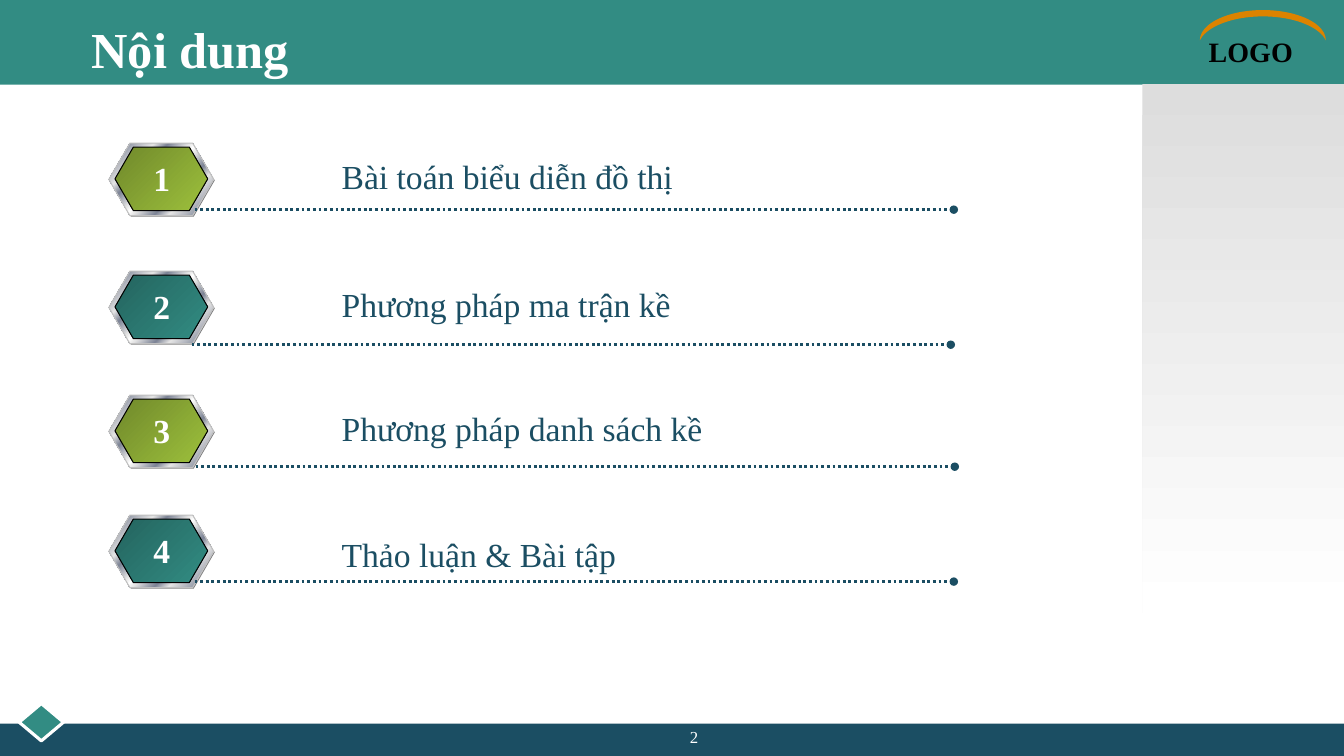
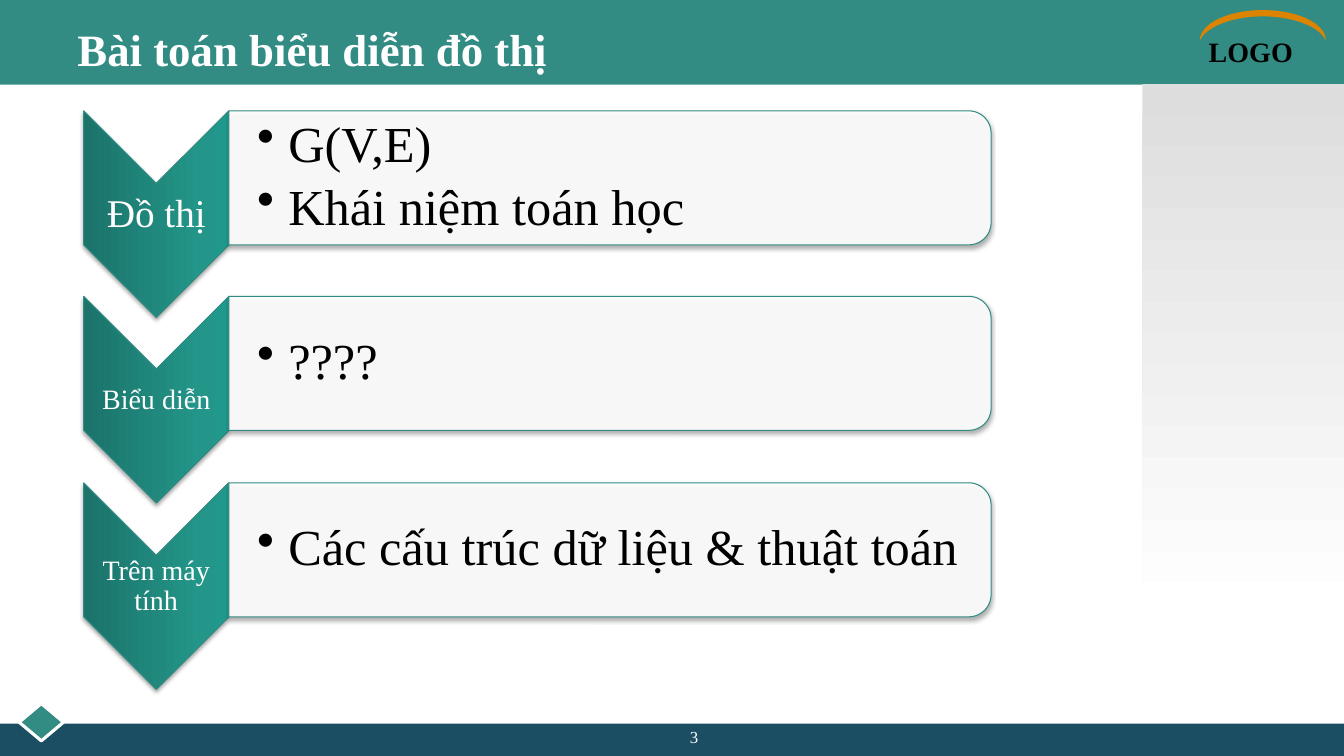
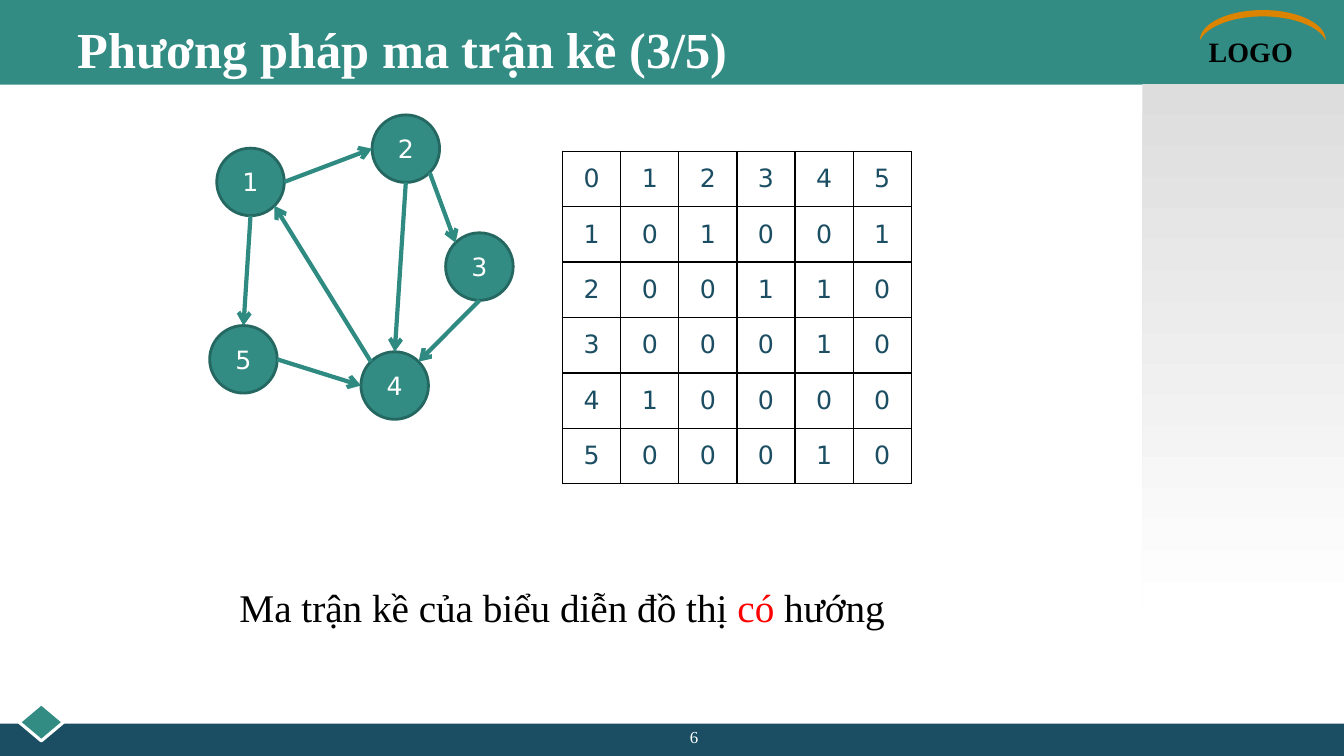
import math

import pptx
import pptx.dml.color
import pptx.enum.dml
import pptx.enum.shapes
import pptx.enum.text
import pptx.oxml
import pptx.oxml.ns
import pptx.util

EMU_PER_PX = 9144
WIDTH, HEIGHT = 1333, 750
SERIF, SANS = "Times New Roman", "DejaVu Sans"

COLORS = {
    "teal": "328C83", "navy": "1B4E63", "white": "FFFFFF", "black": "000000",
    "orange": "DC8300", "red": "FF0000", "gray": "808080", "silver": "C0C0C0",
    "edge": "2F8B82", "ring": "256861",
}
GRADIENTS = {
    "panel": [(0, "DDDDDD"), (100, "FFFFFF")],
    "green": [(0, "70892B"), (100, "9DC03C")],
    "teal": [(0, "24645E"), (100, "328C83")],
    "arrow": [(0, "1B736A"), (80, "239589"), (100, "21988C")],
    "metal": [(0, "E6E6E6"), (7, "7D8496"), (26, "E6E6E6"), (34, "7D8496"),
              (46, "E6E6E6"), (50, "FFFFFF"), (54, "E6E6E6"), (66, "7D8496"),
              (74, "E6E6E6"), (93, "7D8496"), (100, "E6E6E6")],
}
SHAPE = pptx.enum.shapes.MSO_SHAPE
ALIGN = pptx.enum.text.PP_ALIGN
MIDDLE = pptx.enum.text.MSO_ANCHOR.MIDDLE


def px(*values):
    return [round(v * EMU_PER_PX) for v in values]


def rgb(name):
    return pptx.dml.color.RGBColor.from_string(COLORS[name])


def apply(obj, values):
    for name, value in values.items():
        setattr(obj, name, value)


def add_xml(parent, xml):
    ns = pptx.oxml.ns.nsdecls("a")
    tag, rest = xml[:xml.index(" ")], xml[xml.index(" "):]
    parent.append(pptx.oxml.parse_xml(f"{tag} {ns}{rest}"))


def gradient(sp, name, angle):
    sp.fill.gradient()
    sp.fill.gradient_angle = angle
    stops = sp._element.spPr.find(".//" + pptx.oxml.ns.qn("a:gsLst"))
    for stop in list(stops):
        stops.remove(stop)
    for pos, color in GRADIENTS[name]:
        add_xml(stops, f'<a:gs pos="{pos * 1000}"><a:srgbClr val="{color}"/></a:gs>')


def shape(slide, kind, box, fill=None, line=None, weight=0.75, turned=False):
    x, y, w, h = box
    if turned:
        x, y, w, h = x + (w - h) / 2, y + (h - w) / 2, h, w
    sp = slide.shapes.add_shape(kind, *px(x, y, w, h))
    sp.shadow.inherit = False
    sp.rotation = 90 if turned else 0
    if fill:
        sp.fill.solid()
        sp.fill.fore_color.rgb = rgb(fill)
    if line:
        sp.line.color.rgb = rgb(line)
        sp.line.width = pptx.util.Pt(weight)
    else:
        sp.line.fill.background()
    return sp


def add_shadow(sp):
    effects = sp._element.spPr.find(pptx.oxml.ns.qn("a:effectLst"))
    add_xml(effects, '<a:outerShdw blurRad="39370" dist="22860" dir="5400000" '
            'rotWithShape="0"><a:srgbClr val="000000"><a:alpha val="35000"/>'
            '</a:srgbClr></a:outerShdw>')


def run(p, text, size, color, font=SERIF, bold=False):
    r = p.add_run()
    r.text = text
    apply(r.font, {"name": font, "size": pptx.util.Pt(size), "bold": bold})
    r.font.color.rgb = rgb(color)


def textbox(slide, box, text, size, color, bold=False, align=ALIGN.LEFT, **frame):
    tf = slide.shapes.add_textbox(*px(*box)).text_frame
    apply(tf, {"word_wrap": True, **frame})
    p = tf.paragraphs[0]
    p.alignment = align
    if text:
        run(p, text, size, color, bold=bold)
    return tf


def connector(slide, start, end, color, weight, tail):
    cx = slide.shapes.add_connector(
        pptx.enum.shapes.MSO_CONNECTOR.STRAIGHT, *px(*start, *end))
    cx.line.color.rgb = rgb(color)
    cx.line.width = pptx.util.Pt(weight)
    if tail == "oval":
        cx.line.dash_style = pptx.enum.dml.MSO_LINE.ROUND_DOT
    add_xml(cx.line._get_or_add_ln(), f'<a:tailEnd type="{tail}"/>')
    add_xml(cx._element.spPr, "<a:effectLst />")


def base_slide(prs, title, number, size=36, left=67):
    slide = prs.slides.add_slide(prs.slide_layouts[6])
    shape(slide, SHAPE.RECTANGLE, (0, 0, WIDTH, 84), "teal")
    shape(slide, SHAPE.RECTANGLE, (0, 718, WIDTH, 32), "navy")
    shape(slide, SHAPE.DIAMOND, (19, 698, 44, 37), "teal", "white", 2.25)
    textbox(slide, (1189, 29, 144, 43), "LOGO", 20, "black", bold=True)
    arc = shape(slide, SHAPE.MOON, (1190, 10, 125, 30), "orange", turned=True)
    arc.adjustments[0] = 0.21
    gradient(shape(slide, SHAPE.RECTANGLE, (1133, 83, 200, 525)), "panel", 270)
    textbox(slide, (left, 17, 1036, 62), title, size, "white", bold=True,
            vertical_anchor=MIDDLE)
    textbox(slide, (533, 716, 311, 26), str(number), 12, "white", align=ALIGN.CENTER)
    return slide


def agenda_item(slide, x, y, number, text, text_dy, line_dx, line_dy):
    hexagons = [
        ((x + 1, y + 1, 104, 72), "gray", None, None),
        ((x, y, 104, 72), None, "silver", "metal"),
        ((x + 6, y + 4, 92, 63), None, "black", "green" if number % 2 else "teal"),
    ]
    for box, fill, line, grad in hexagons:
        sp = shape(slide, SHAPE.HEXAGON, box, fill, line)
        sp.adjustments[0] = 0.29
        if grad:
            gradient(sp, grad, 315)
    start = x + line_dx
    connector(slide, (start, y + line_dy), (start + 753, y + line_dy), "navy", 2, "oval")
    textbox(slide, (x + 221, y + text_dy, 482, 50), text, 24, "navy")
    textbox(slide, (x + 29, y + 10, 47, 50), str(number), 24, "white", bold=True,
            align=ALIGN.CENTER)


def agenda_slide(prs):
    slide = base_slide(prs, "Nội dung", 2, left=81)
    items = [
        (142, "Bài toán biểu diễn đồ thị", 8, 85, 66),
        (269, "Phương pháp ma trận kề", 8, 82, 73),
        (392, "Phương pháp danh sách kề", 8, 86, 71),
        (511, "Thảo luận & Bài tập", 14, 85, 66),
    ]
    for number, (y, *item) in enumerate(items, 1):
        agenda_item(slide, 108, y, number, *item)


def chevron_row(slide, x, y, label, size, lines):
    sp = shape(slide, SHAPE.CHEVRON, (x, y, 144, 205), None, "teal", turned=True)
    gradient(sp, "arrow", 90)
    add_shadow(sp)
    inset = dict.fromkeys(
        ("margin_left", "margin_right", "margin_top", "margin_bottom"), px(2)[0])
    tf = textbox(slide, (x, y + 72, 144, 62), label, size, "white",
                 align=ALIGN.CENTER, vertical_anchor=MIDDLE, **inset)
    tf.paragraphs[0].line_spacing = 0.9

    panel = shape(slide, SHAPE.ROUND_2_SAME_RECTANGLE, (x + 144, y, 756, 133),
                  "white", "teal", turned=True)
    color = panel._element.spPr.find(pptx.oxml.ns.qn("a:solidFill"))[0]
    add_xml(color, '<a:alpha val="90000"/>')
    add_shadow(panel)
    inset["margin_left"] = px(28)[0]
    tf = textbox(slide, (x + 144, y + 6, 750, 120), "", 36, "black",
                 vertical_anchor=MIDDLE, **inset)
    for i, line in enumerate(lines):
        p = tf.add_paragraph() if i else tf.paragraphs[0]
        apply(p, {"line_spacing": 0.9, "space_after": pptx.util.Pt(6)})
        pPr = p._p.get_or_add_pPr()
        indent = px(31)[0]
        pPr.set("marL", str(indent))
        pPr.set("indent", str(-indent))
        add_xml(pPr, '<a:buChar char="•"/>')
        run(p, line, 36, "black")


def problem_slide(prs):
    slide = base_slide(prs, "Bài toán biểu diễn đồ thị", 3, size=32)
    rows = [
        ("Đồ thị", 28, ["G(V,E)", "Khái niệm toán học"]),
        ("Biểu diễn", 20, ["????"]),
        ("Trên máy tính", 20, ["Các cấu trúc dữ liệu & thuật toán"]),
    ]
    for i, row in enumerate(rows):
        chevron_row(slide, 83, 110 + i * 369 // 2, *row)


def graph(slide, x, y):
    size = 67
    nodes = {1: (7, 33), 2: (161, 0), 3: (234, 117), 4: (150, 235), 5: (0, 209)}
    edges = [(1, 0, 2, 180), (1, 90, 5, 270), (4, 225, 1, 45), (2, 90, 4, 270),
             (2, 45, 3, 225), (3, 90, 4, 315), (5, 0, 4, 180)]

    def rim(node, degrees):
        dx, dy = nodes[node]
        angle, radius = math.radians(degrees), size / 2
        return (x + dx + radius * (1 + math.cos(angle)),
                y + dy + radius * (1 + math.sin(angle)))

    for number, (dx, dy) in nodes.items():
        sp = shape(slide, SHAPE.OVAL, (x + dx, y + dy, size, size), "teal", "ring", 2)
        sp.text_frame.vertical_anchor = MIDDLE
        p = sp.text_frame.paragraphs[0]
        p.alignment = ALIGN.CENTER
        run(p, str(number), 18, "white", SANS)
    for a, leave, b, arrive in edges:
        connector(slide, rim(a, leave), rim(b, arrive), "edge", 3, "arrow")


def matrix(slide, box, rows):
    table = slide.shapes.add_table(len(rows), len(rows[0]), *px(*box)).table
    apply(table, {"first_row": False, "horz_banding": False})
    for i, values in enumerate(rows):
        for j, value in enumerate(values):
            cell = table.cell(i, j)
            cell.vertical_anchor = MIDDLE
            p = cell.text_frame.paragraphs[0]
            p.alignment = ALIGN.CENTER
            run(p, value, 18, "navy", SANS)
            tcPr = cell._tc.get_or_add_tcPr()
            for side in ("lnL", "lnR", "lnT", "lnB"):
                add_xml(tcPr, f'<a:{side} w="12700"><a:solidFill><a:srgbClr '
                        f'val="{COLORS["black"]}"/></a:solidFill></a:{side}>')
            cell.fill.background()


def matrix_slide(prs):
    slide = base_slide(prs, "Phương pháp ma trận kề (3/5)", 6)
    tf = textbox(slide, (215, 574, 685, 57), "Ma trận kề của biểu diễn đồ thị ",
                 28, "black", align=ALIGN.CENTER)
    run(tf.paragraphs[0], "có", 28, "red")
    run(tf.paragraphs[0], " hướng", 28, "black")
    graph(slide, 208, 114)
    matrix(slide, (558, 150, 346, 330),
           ["012345", "101001", "200110", "300010", "410000", "500010"])


def main():
    prs = pptx.Presentation()
    prs.slide_width, prs.slide_height = px(WIDTH, HEIGHT)
    agenda_slide(prs)
    problem_slide(prs)
    matrix_slide(prs)
    prs.save("out.pptx")


if __name__ == "__main__":
    main()
